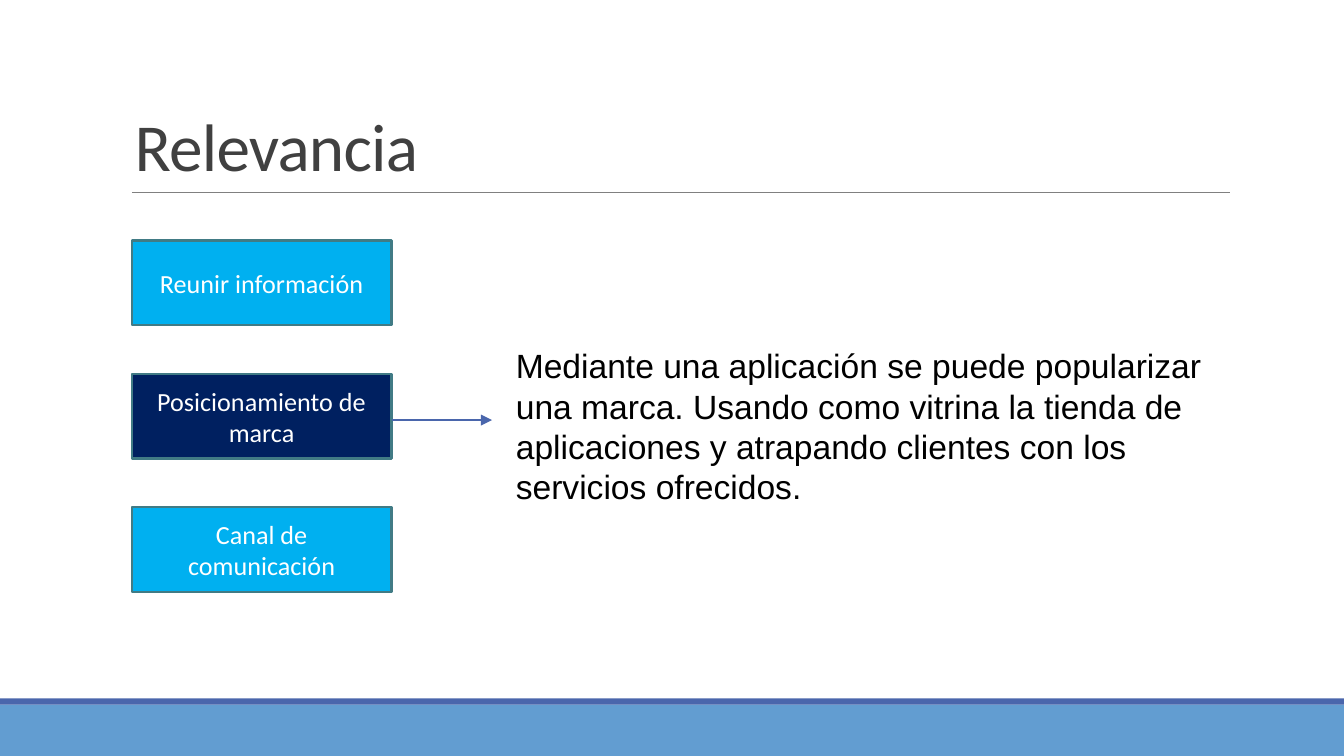
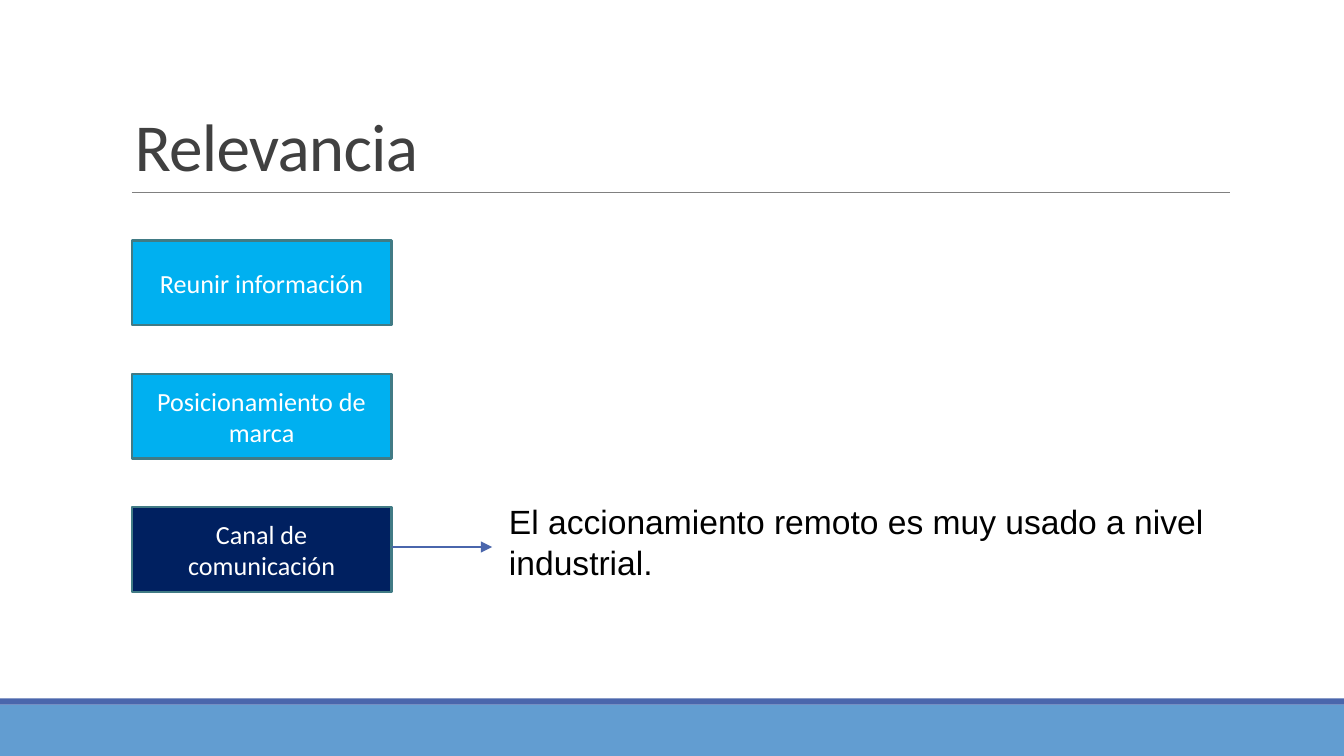
from dataclasses import dataclass

from lxml.etree import SubElement
from pptx import Presentation
from pptx.dml.color import RGBColor
from pptx.enum.shapes import MSO_CONNECTOR, MSO_SHAPE
from pptx.enum.text import MSO_ANCHOR, MSO_AUTO_SIZE, PP_ALIGN
from pptx.oxml.ns import qn
from pptx.util import Cm, Pt

TITLE = "Relevancia"
TOPICS = ["Reunir información", "Posicionamiento de marca", "Canal de comunicación"]

# Active topic, its explanation, text box (left, top, width, height) and arrow height in cm
SLIDES = [
    {
        "active": 1,
        "text": "Mediante una aplicación se puede popularizar una marca. "
                "Usando como vitrina la tienda de aplicaciones y atrapando "
                "clientes con los servicios ofrecidos.",
        "box": (9.5, 6.4, 13.74, 3.33),
        "arrow": 7.94,
    },
    {
        "active": 2,
        "text": "El accionamiento remoto es muy usado a nivel industrial.",
        "box": (9.37, 9.35, 14.35, 1.8),
        "arrow": 10.34,
    },
]


@dataclass(frozen=True)
class Theme:
    band: str = "629DD1"
    accent: str = "4A66AC"
    rule: str = "808080"
    title: str = "404040"
    topic: str = "00B0F0"
    active: str = "002060"
    border: str = "417B85"
    light: str = "FFFFFF"
    text: str = "000000"
    head_font: str = "Calibri"
    text_font: str = "Arial"
    title_size: float = 36
    topic_size: float = 14
    text_size: float = 18


THEME = Theme()
WIDTH, HEIGHT = 25.4, 14.29
LEFT, RIGHT = 2.49, 23.24
TOPIC_TOP, TOPIC_STEP = 4.55, 2.52
TOPIC_WIDTH, TOPIC_HEIGHT = 4.91, 1.6
ARROW_END = 9.3
BANDS = [(13.32, HEIGHT - 13.32, THEME.band), (13.2, 0.12, THEME.accent)]


def rgb(code):
    return RGBColor.from_string(code)


def style(para, name, size, color):
    para.font.name = name
    para.font.size = Pt(size)
    para.font.color.rgb = rgb(color)


def add_rect(slide, box, fill):
    rect = slide.shapes.add_shape(MSO_SHAPE.RECTANGLE, *map(Cm, box))
    rect.shadow.inherit = False
    rect.fill.solid()
    rect.fill.fore_color.rgb = rgb(fill)
    rect.line.fill.background()
    return rect


def add_line(slide, start, end, y, color, width):
    line = slide.shapes.add_connector(
        MSO_CONNECTOR.STRAIGHT, Cm(start), Cm(y), Cm(end), Cm(y))
    line.line.color.rgb = rgb(color)
    line.line.width = Pt(width)
    SubElement(line._element.spPr, qn("a:effectLst"))
    return line


def add_frame(slide):
    """Add the footer bands, the title and the rule below it."""
    for top, height, color in BANDS:
        add_rect(slide, (0, top, WIDTH, height), color)
    add_line(slide, LEFT, RIGHT, 3.63, THEME.rule, 0.5)
    title = slide.shapes.title
    title.left, title.top, title.width, title.height = map(Cm, (2.29, 0.61, 20.95, 3.02))
    frame = title.text_frame
    frame.text = TITLE
    frame.auto_size = MSO_AUTO_SIZE.NONE
    frame.vertical_anchor = MSO_ANCHOR.BOTTOM
    para = frame.paragraphs[0]
    para.alignment = PP_ALIGN.LEFT
    para.line_spacing = 0.85
    style(para, THEME.head_font, THEME.title_size, THEME.title)
    para._p.pPr.find(qn("a:defRPr")).set("spc", "-40")


def add_topics(slide, active):
    for row, topic in enumerate(TOPICS):
        top = TOPIC_TOP + row * TOPIC_STEP
        fill = THEME.active if row == active else THEME.topic
        rect = add_rect(slide, (LEFT, top, TOPIC_WIDTH, TOPIC_HEIGHT), fill)
        rect.line.color.rgb = rgb(THEME.border)
        rect.line.width = Pt(1.25)
        frame = rect.text_frame
        frame.text = topic
        frame.word_wrap = True
        frame.vertical_anchor = MSO_ANCHOR.MIDDLE
        para = frame.paragraphs[0]
        para.alignment = PP_ALIGN.CENTER
        style(para, THEME.head_font, THEME.topic_size, THEME.light)


def add_detail(slide, text, box, y):
    """Add the explanation and the arrow that leads to it."""
    frame = slide.shapes.add_textbox(*map(Cm, box)).text_frame
    frame.text = text
    frame.word_wrap = True
    frame.auto_size = MSO_AUTO_SIZE.SHAPE_TO_FIT_TEXT
    style(frame.paragraphs[0], THEME.text_font, THEME.text_size, THEME.text)
    arrow = add_line(slide, LEFT + TOPIC_WIDTH, ARROW_END, y, THEME.accent, 1)
    SubElement(arrow.line._get_or_add_ln(), qn("a:tailEnd"), type="triangle")


def main():
    deck = Presentation()
    deck.slide_width, deck.slide_height = Cm(WIDTH), Cm(HEIGHT)
    layout = deck.slide_layouts.get_by_name("Title Only")
    for item in SLIDES:
        slide = deck.slides.add_slide(layout)
        add_frame(slide)
        add_topics(slide, item["active"])
        add_detail(slide, item["text"], item["box"], item["arrow"])
    deck.save("out.pptx")


if __name__ == "__main__":
    main()
